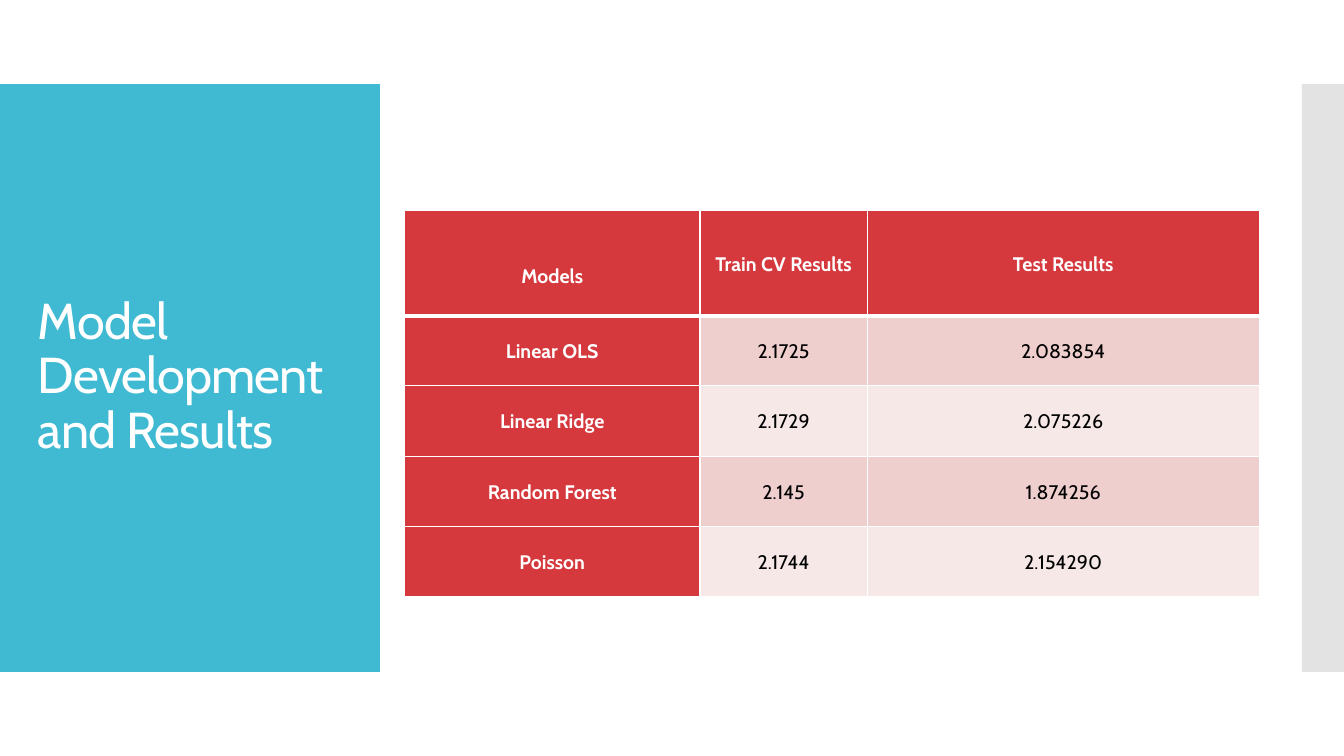
"""Build the model development and results slide."""
from dataclasses import dataclass

import pptx
import pptx.dml.color
import pptx.enum.shapes
import pptx.enum.text
import pptx.oxml
import pptx.oxml.ns
import pptx.util
from lxml import etree

Pt = pptx.util.Pt
ANCHOR = pptx.enum.text.MSO_ANCHOR
ALIGN = pptx.enum.text.PP_ALIGN


@dataclass(frozen=True)
class Theme:
    """Colours and type sizes of the slide."""
    font: str = "Cabin"
    title_size: float = 36
    table_size: float = 14
    white: str = "FFFFFF"
    black: str = "000000"
    panel: str = "40BAD2"
    bar: str = "C8C8C8"
    header: str = "D5393D"
    bands: tuple = ("EFCECE", "F7E8E8")


THEME = Theme()
COLUMN_WIDTHS = (211, 119.5, 280)
HEADER_HEIGHT, ROW_HEIGHT = 75, 50.2
RESULTS = (
    ("Models", "Train CV Results", "Test Results"),
    ("Linear OLS", "2.1725", "2.083854"),
    ("Linear Ridge", "2.1729", "2.075226"),
    ("Random Forest", "2.145", "1.874256"),
    ("Poisson", "2.1744", "2.154290"),
)


def rgb(value):
    """Return a colour object for a hex value."""
    return pptx.dml.color.RGBColor.from_string(value)


def add_child(parent, tag, **attributes):
    """Append a DrawingML element with the given attributes."""
    return etree.SubElement(parent, pptx.oxml.ns.qn(tag), attributes)


def style_font(font, size, colour, bold=False):
    """Set the face, size, colour and weight of a font."""
    font.name, font.size, font.bold = THEME.font, Pt(size), bold
    font.color.rgb = rgb(colour)


def add_block(page, left, top, width, height, colour, opacity=100):
    """Add a plain rectangle with an optional opacity in percent."""
    kind = pptx.enum.shapes.MSO_SHAPE.RECTANGLE
    block = page.shapes.add_shape(kind, Pt(left), Pt(top), Pt(width), Pt(height))
    block.shadow.inherit = False
    block.line.fill.background()
    block.fill.solid()
    block.fill.fore_color.rgb = rgb(colour)
    if opacity < 100:
        fill = block.fill._xPr.find(pptx.oxml.ns.qn("a:solidFill"))
        add_child(fill[0], "a:alpha", val=str(opacity * 1000))


def add_title(page, text, left, top, width, height):
    """Add the slide title, centred vertically in its box."""
    box = page.shapes.add_textbox(Pt(left), Pt(top), Pt(width), Pt(height))
    frame = box.text_frame
    frame.word_wrap = True
    frame.vertical_anchor = ANCHOR.MIDDLE
    para = frame.paragraphs[0]
    para.line_spacing = 0.9
    style_font(para.font, THEME.title_size, THEME.white)
    span = para.add_run()
    span.text = text
    span.font._element.set("spc", "-60")


def set_borders(cell, bottom_width):
    """Draw white borders round a cell."""
    properties = cell._tc.get_or_add_tcPr()
    widths = {"a:lnL": 1, "a:lnR": 1, "a:lnT": 1, "a:lnB": bottom_width}
    for position, (tag, width) in enumerate(widths.items()):
        line = add_child(properties, tag, w=str(Pt(width)))
        properties.insert(position, line)
        add_child(add_child(line, "a:solidFill"), "a:srgbClr", val=THEME.white)


def fill_cell(cell, text, row, column):
    """Write and style one table cell by its place in the grid."""
    heading = row == 0 or column == 0
    margin = 6 if column == 0 else 1
    cell.margin_left = cell.margin_right = Pt(margin)
    cell.margin_top = cell.margin_bottom = Pt(margin)
    if row == 0 and column == 0:
        cell.margin_top = Pt(24)
    cell.vertical_anchor = ANCHOR.MIDDLE
    cell.fill.solid()
    cell.fill.fore_color.rgb = rgb(THEME.header if heading else THEME.bands[(row - 1) % 2])
    cell.text = text
    para = cell.text_frame.paragraphs[0]
    para.alignment = ALIGN.CENTER
    para.line_spacing = 1.07
    para.space_before = Pt(12)
    style_font(para.font, THEME.table_size, THEME.white if heading else THEME.black, heading)
    set_borders(cell, 3 if row == 0 else 1)


def add_results(page, left, top):
    """Add the table of model results."""
    heights = [HEADER_HEIGHT] + [ROW_HEIGHT] * (len(RESULTS) - 1)
    table = page.shapes.add_table(
        len(heights), len(COLUMN_WIDTHS), Pt(left), Pt(top),
        Pt(sum(COLUMN_WIDTHS)), Pt(sum(heights))).table
    for column, width in zip(table.columns, COLUMN_WIDTHS):
        column.width = Pt(width)
    for row, (height, texts) in enumerate(zip(heights, RESULTS)):
        table.rows[row].height = Pt(height)
        for column, text in enumerate(texts):
            fill_cell(table.cell(row, column), text, row, column)


def main():
    """Build and save the deck."""
    deck = pptx.Presentation()
    deck.slide_width, deck.slide_height = Pt(960), Pt(540)
    page = deck.slides.add_slide(deck.slide_layouts[6])
    add_block(page, 0, 60, 271.3, 420, THEME.panel)
    add_block(page, 930, 60, 30, 420, THEME.bar, opacity=50)
    add_title(page, "Model Development and Results", 20, 88.5, 232, 362)
    add_results(page, 289, 150.5)
    deck.save("out.pptx")


if __name__ == "__main__":
    main()
